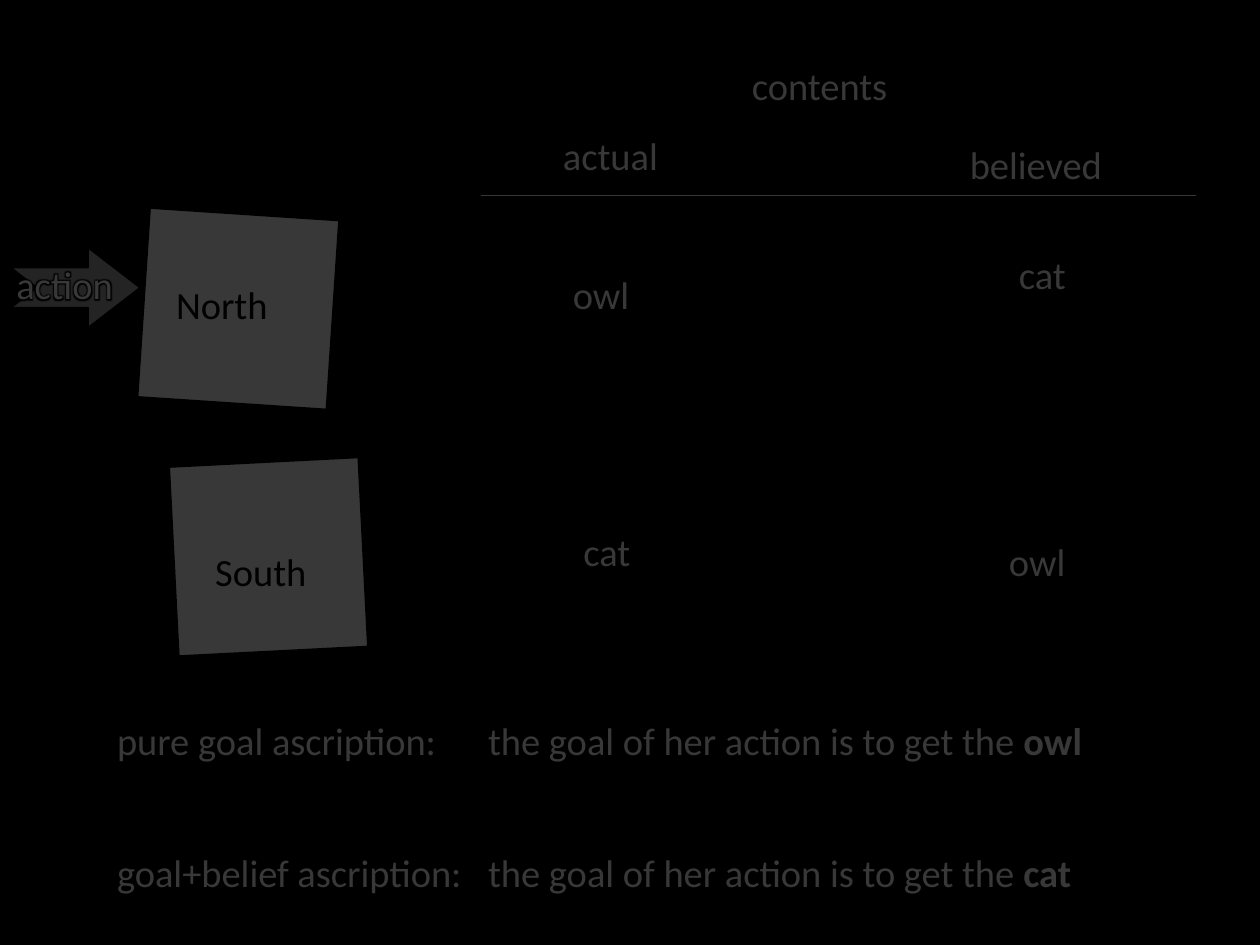
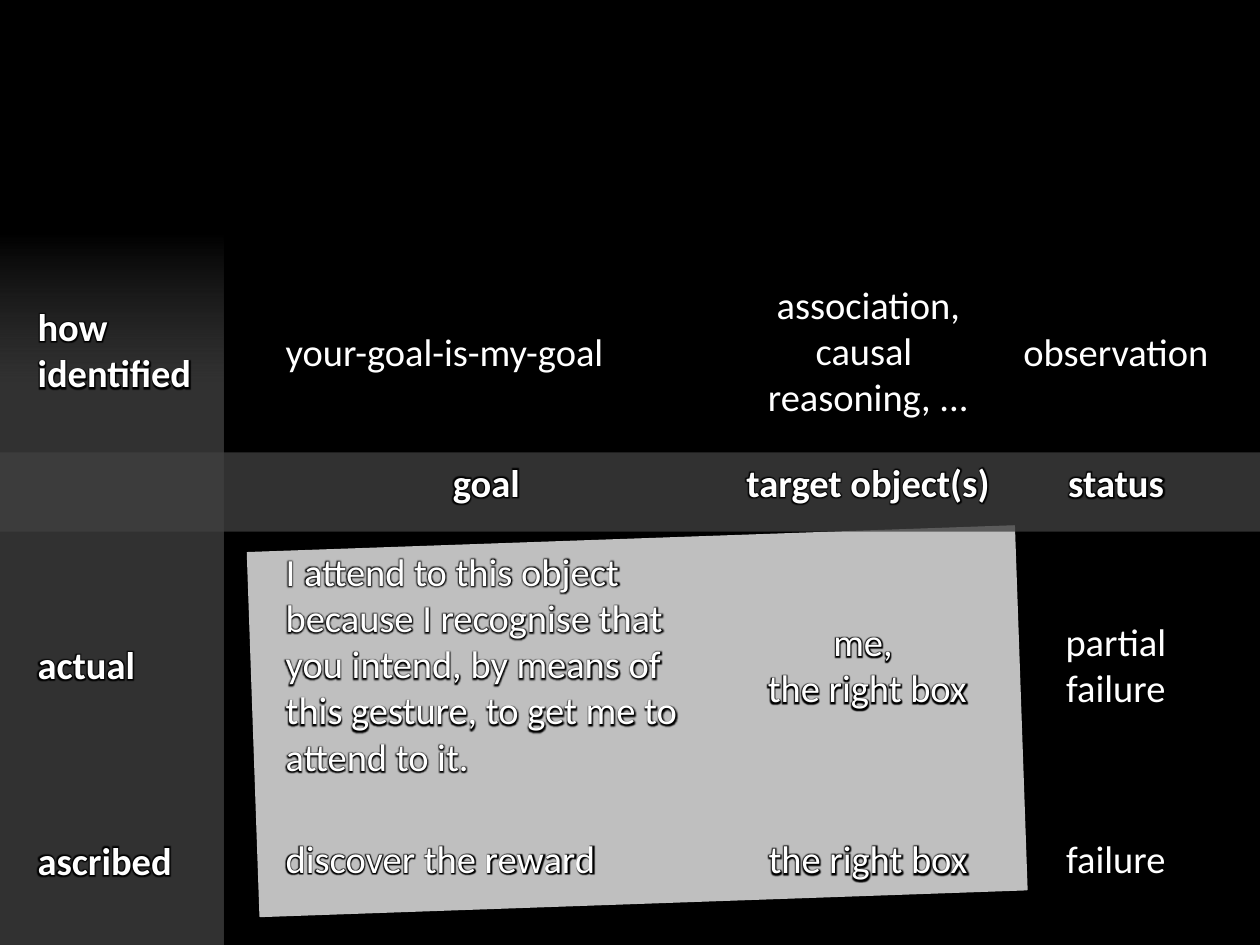
from dataclasses import dataclass

from lxml import etree
from pptx import Presentation
from pptx.dml.color import RGBColor
from pptx.enum.shapes import MSO_CONNECTOR, MSO_SHAPE
from pptx.enum.text import MSO_AUTO_SIZE, PP_ALIGN
from pptx.oxml.ns import qn
from pptx.util import Cm, Pt

RECT, ARROW = MSO_SHAPE.RECTANGLE, MSO_SHAPE.NOTCHED_RIGHT_ARROW
STRAIGHT = MSO_CONNECTOR.STRAIGHT
LEFT, CENTER = PP_ALIGN.LEFT, PP_ALIGN.CENTER
FIT_SHAPE = MSO_AUTO_SIZE.SHAPE_TO_FIT_TEXT

# Shared style
BLACK, WHITE, DARK, SLATE = "000000", "FFFFFF", "404040", "595959"
SILVER, ARROW_GREY = "BFBFBF", "A6A6A6"
FONT_FORMAT = {"name": "Calibri", "size": Pt(22)}
WIDTH, HEIGHT, LINE_HEIGHT = 25.4, 19.05, 1.19
VEIL_ALPHA = 78
HAIRLINE = Pt(0.75)
GLOW_RADIUS = Pt(4)


@dataclass
class Block:
    left: float
    top: float
    width: float
    height: float
    fill: str
    line: str = ""
    rotation: float = 0
    alpha: int = 100
    kind: int = RECT


@dataclass
class Label:
    text: str
    left: float
    top: float
    width: float
    height: float = LINE_HEIGHT
    color: str = WHITE
    bold: bool = False
    align: int = LEFT
    wrap: bool = True
    glow: bool = True


def rgb(color: str) -> RGBColor:
    return RGBColor.from_string(color)


def add_color(parent, color: str, alpha: int = 100):
    node = etree.SubElement(parent, qn("a:srgbClr"), val=color)
    if alpha < 100:
        etree.SubElement(node, qn("a:alpha"), val=str(alpha * 1000))


def add_block(slide, block: Block):
    shape = slide.shapes.add_shape(block.kind, Cm(block.left), Cm(block.top),
                                   Cm(block.width), Cm(block.height))
    shape.shadow.inherit = False
    shape.rotation = block.rotation
    shape.fill.solid()
    shape.fill.fore_color.rgb = rgb(block.fill)
    if block.alpha < 100:
        solid = shape.fill._xPr.find(qn("a:solidFill"))
        solid.clear()
        add_color(solid, block.fill, block.alpha)
    if block.line:
        shape.line.color.rgb = rgb(block.line)
        shape.line.width = HAIRLINE
    else:
        shape.line.fill.background()
    return shape


def fade_upwards(shape, stops: list[tuple[int, str, int]]):
    """Replace the fill with a gradient running from bottom to top."""
    properties = shape._element.spPr
    gradient = etree.Element(qn("a:gradFill"), rotWithShape="1")
    stop_list = etree.SubElement(gradient, qn("a:gsLst"))
    for position, color, alpha in stops:
        stop = etree.SubElement(stop_list, qn("a:gs"), pos=str(position * 1000))
        add_color(stop, color, alpha)
    etree.SubElement(gradient, qn("a:lin"), ang=str(270 * 60000), scaled="0")
    properties.replace(properties.find(qn("a:solidFill")), gradient)


def add_run(paragraph, text: str, color: str, bold: bool, glow: bool):
    run = paragraph.add_run()
    run.text = text
    for name, value in {**FONT_FORMAT, "bold": bold}.items():
        setattr(run.font, name, value)
    run.font.color.rgb = rgb(color)
    if glow:
        effects = etree.Element(qn("a:effectLst"))
        halo = etree.SubElement(effects, qn("a:glow"), rad=str(GLOW_RADIUS))
        add_color(halo, BLACK)
        run.font._element.find(qn("a:solidFill")).addnext(effects)


def add_frame(slide, left: float, top: float, width: float, height: float, wrap: bool):
    frame = slide.shapes.add_textbox(Cm(left), Cm(top), Cm(width), Cm(height)).text_frame
    for name, value in {"word_wrap": wrap, "auto_size": FIT_SHAPE}.items():
        setattr(frame, name, value)
    return frame


def add_label(slide, label: Label):
    frame = add_frame(slide, label.left, label.top, label.width, label.height, label.wrap)
    for index, paragraph_text in enumerate(label.text.split("\n")):
        paragraph = frame.add_paragraph() if index else frame.paragraphs[0]
        paragraph.alignment = label.align
        for part, line in enumerate(paragraph_text.split("\v")):
            if part:
                paragraph.add_line_break()
            add_run(paragraph, line, label.color, label.bold, label.glow)


def add_ascriptions(slide, ascriptions: list[tuple[str, str]]):
    frame = add_frame(slide, 2.11, 14.33, 21.59, 3.86, True)
    for index, (kind, target) in enumerate(ascriptions):
        paragraph = frame.add_paragraph() if index else frame.paragraphs[0]
        paragraph.space_after = Pt(11)
        if index:
            paragraph.space_before = Pt(38)
        tabs = etree.SubElement(paragraph._p.get_or_add_pPr(), qn("a:tabLst"))
        etree.SubElement(tabs, qn("a:tab"), pos=str(Cm(7.48)), algn="l")
        add_run(paragraph, f"{kind} ascription:\tthe goal of her action is to get the ",
                WHITE, False, False)
        add_run(paragraph, target, WHITE, True, False)


def add_rule(slide, left: float, right: float, top: float):
    rule = slide.shapes.add_connector(STRAIGHT, Cm(left), Cm(top), Cm(right), Cm(top))
    rule.line.color.rgb = rgb(WHITE)
    rule.line.width = HAIRLINE
    etree.SubElement(rule._element.spPr, qn("a:effectLst"))


def build_boxes_slide(slide):
    # Boxes
    for left, top, rotation in [(2.9, 4.32, 3.8), (3.51, 9.32, 357.1)]:
        add_block(slide, Block(left, top, 3.81, 3.81, WHITE, BLACK, rotation))

    # Box names, headings and contents
    for text, left, top, width, color in [
        ("actual", 11.1, 2.54, 2.57, WHITE),
        ("North", 3.3, 5.54, 2.49, BLACK),
        ("South", 4.09, 10.92, 2.51, BLACK),
        ("believed", 19.3, 2.72, 3.43, WHITE),
        ("owl", 11.3, 5.33, 1.73, WHITE),
        ("cat", 11.51, 10.52, 1.52, WHITE),
        ("cat", 20.29, 4.93, 1.52, WHITE),
        ("owl", 20.09, 10.72, 1.73, WHITE),
        ("contents", 14.91, 1.12, 3.48, WHITE),
    ]:
        add_label(slide, Label(text, left, top, width, color=color, wrap=False, glow=False))
    add_rule(slide, 9.7, 24.1, 3.94)

    # Action arrow
    arrow = add_block(slide, Block(0.23, 5, 2.59, 1.6, ARROW_GREY, BLACK, kind=ARROW))
    arrow.adjustments[0], arrow.adjustments[1] = 0.5, 0.65
    add_label(slide, Label("action", 0.08, 5.13, 2.64, wrap=False))

    # Ascriptions, then the veil that dims the slide
    add_ascriptions(slide, [("pure goal", "owl"), ("goal+belief", "cat")])
    add_block(slide, Block(0, 0.13, WIDTH, HEIGHT, BLACK, BLACK, alpha=VEIL_ALPHA))


def build_gesture_slide(slide):
    heading_top, identified_top, ascribed_top, actual_top = 9.12, 6.48, 16.71, 12.34
    goal_left, goal_width, row_label_left = 5.51, 9.19, 0.51

    # Slab, heading band and row label column
    add_block(slide, Block(5.11, 10.87, 15.47, 7.34, SILVER, SILVER, 358))
    add_block(slide, Block(0, heading_top, WIDTH, 1.6, DARK, alpha=VEIL_ALPHA))
    column = add_block(slide, Block(0, 4.72, 4.5, 14.33, DARK))
    fade_upwards(column, [(0, DARK, VEIL_ALPHA), (79, DARK, VEIL_ALPHA), (100, SLATE, 0)])

    # Column headings
    for text, left, width in [("goal", 6.91, 5.79), ("target object(s)", 12.7, 9.6),
                              ("status", 17.7, 9.6)]:
        add_label(slide, Label(text, left, heading_top, width, bold=True, align=CENTER))

    # Row labels
    for text, top, width, height in [("how \videntified", 5.99, 4.19, 2.13),
                                     ("actual", 12.8, 2.72, LINE_HEIGHT),
                                     ("ascribed", 16.74, 3.56, LINE_HEIGHT)]:
        add_label(slide, Label(text, row_label_left, top, width, height,
                               bold=True, wrap=False))

    # Goals
    for text, top, width, height in [
        ("your-goal-is-my-goal", identified_top, goal_width, LINE_HEIGHT),
        ("I attend to this object because I recognise that you intend, by means of "
         "this gesture, to get me to attend to it.", 10.92, goal_width, 4.95),
        ("discover the reward", ascribed_top, 12.6, LINE_HEIGHT),
    ]:
        add_label(slide, Label(text, goal_left, top, width, height))

    # Target objects and status
    for text, left, top, width, height in [
        ("association,\ncausal \nreasoning, ...", 14.1, 5.54, 6.81, 3.07),
        ("me, \vthe right box", 14.83, actual_top, 5.31, 2.13),
        ("the right box", 15.06, ascribed_top, 4.88, LINE_HEIGHT),
        ("observation", 19.89, identified_top, 5.21, LINE_HEIGHT),
        ("partial\nfailure", 20.5, actual_top, 3.99, 2.13),
        ("failure", 20.5, ascribed_top, 3.99, LINE_HEIGHT),
    ]:
        add_label(slide, Label(text, left, top, width, height, align=CENTER))


def main():
    prs = Presentation()
    prs.slide_width, prs.slide_height = Cm(WIDTH), Cm(HEIGHT)
    backdrop = prs.slide_master.background.fill
    backdrop.solid()
    backdrop.fore_color.rgb = rgb(BLACK)
    blank = prs.slide_layouts.get_by_name("Blank")
    for build in (build_boxes_slide, build_gesture_slide):
        build(prs.slides.add_slide(blank))
    prs.save("out.pptx")


if __name__ == "__main__":
    main()
